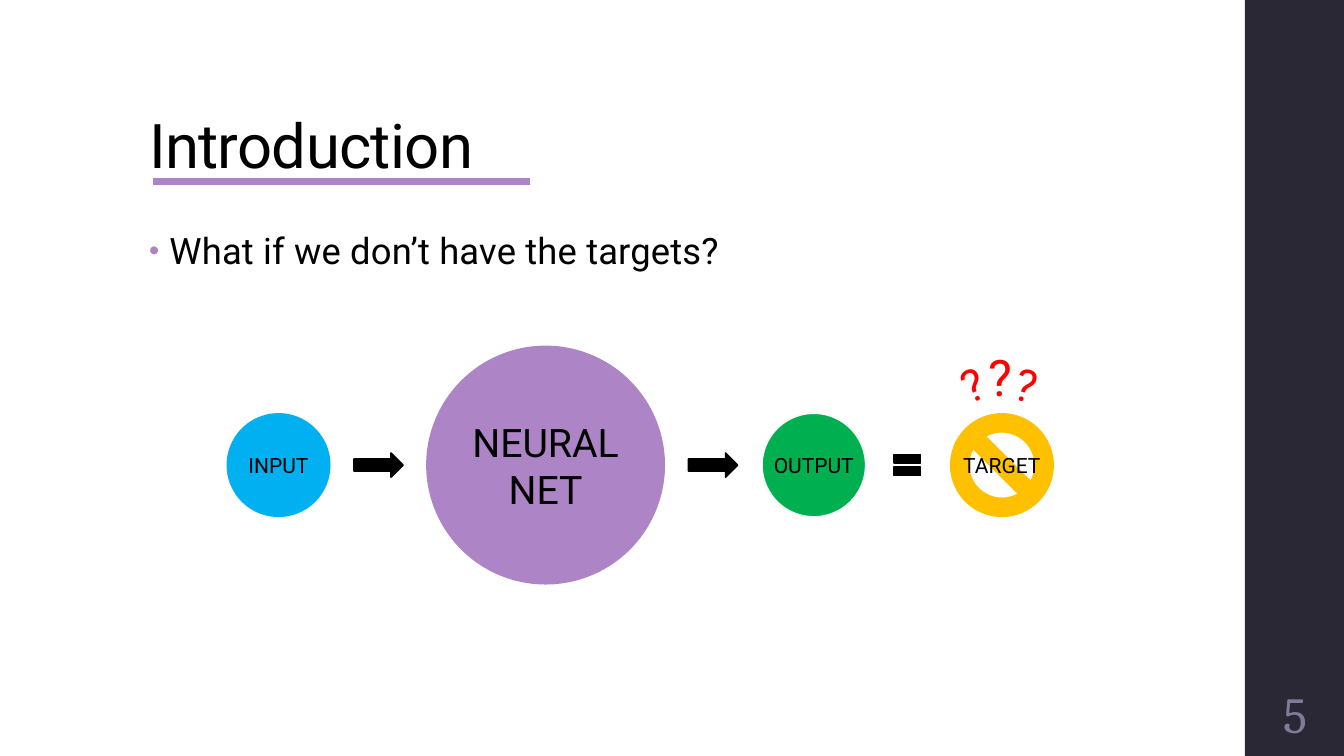
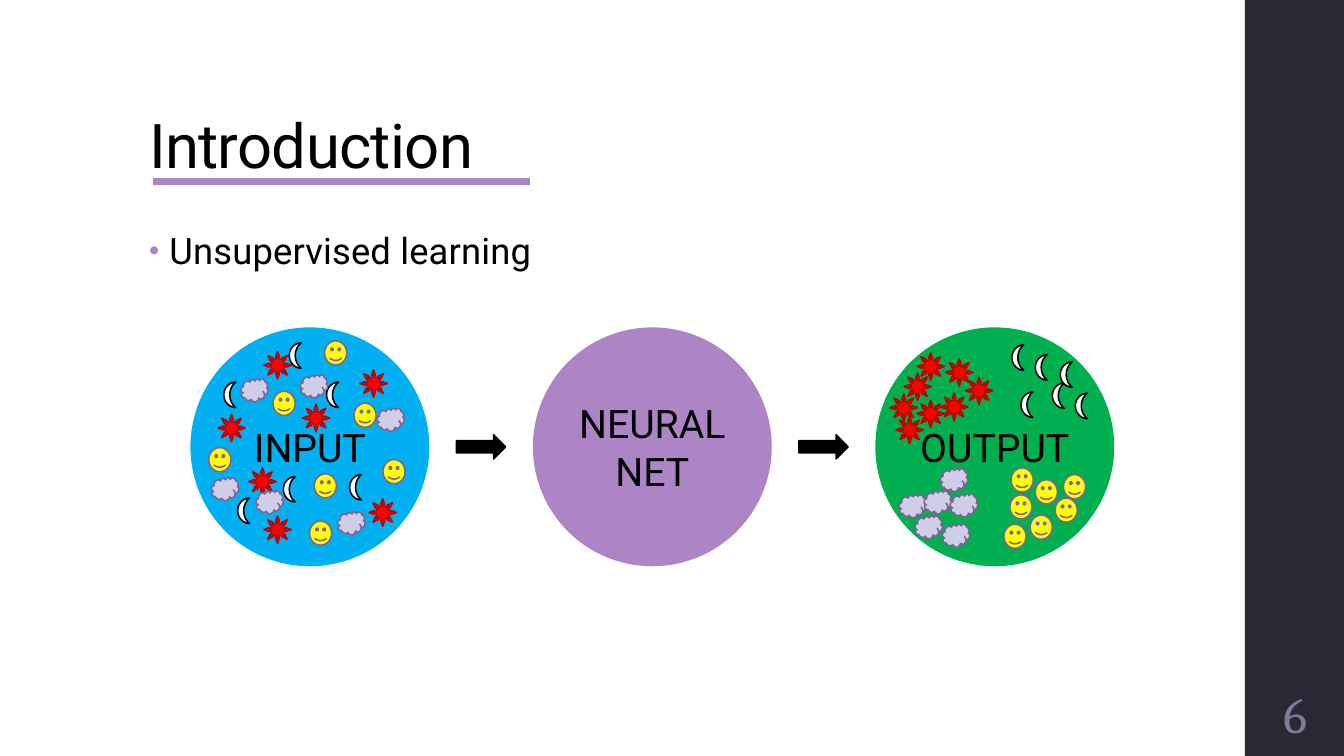
from dataclasses import dataclass

from lxml.etree import SubElement
from pptx import Presentation
from pptx.dml.color import RGBColor
from pptx.enum.shapes import MSO_CONNECTOR, MSO_SHAPE
from pptx.enum.text import MSO_ANCHOR, PP_ALIGN
from pptx.oxml.ns import qn
from pptx.util import Cm, Pt


@dataclass(frozen=True)
class Theme:
    # Fonts
    text_font: str = "Roboto"
    number_font: str = "Cambria"
    # Colours
    white: str = "FFFFFF"
    black: str = "000000"
    sidebar: str = "292834"
    number: str = "7F7B9A"
    accent: str = "AD84C6"
    input: str = "00B0F0"
    output: str = "00B050"
    output_edge: str = "F9F9F9"
    target: str = "FFC000"
    red: str = "FF0000"
    dark_red: str = "C00000"
    yellow: str = "FFFF00"
    lavender: str = "CFCEE9"
    plum: str = "806292"
    # Type sizes and line widths in points
    title_size: int = 44
    body_size: int = 26
    number_size: int = 36
    large_label: int = 28
    small_label: int = 15
    mark_size: int = 32
    large_mark: int = 36
    outline: float = 1.1
    rule: float = 4.5


THEME = Theme()
LARGE, SMALL = 6.02, 2.62

# Icon: preset, width, height, fill, outline
ICONS = {
    "moon": (MSO_SHAPE.MOON, 0.3, 0.64, THEME.white, THEME.black),
    "smiley": (MSO_SHAPE.SMILEY_FACE, 0.56, 0.61, THEME.yellow, THEME.plum),
    "sun": (MSO_SHAPE.SUN, 0.69, 0.69, THEME.red, THEME.dark_red),
    "cloud": (MSO_SHAPE.CLOUD, 0.69, 0.58, THEME.lavender, THEME.plum),
}

# Left and top of every icon in cm: mixed in the input, grouped in the output
MIXED = {
    "moon": [(5.64, 9.63), (8.23, 9.63), (7.14, 12.01), (8.81, 11.96),
             (5.99, 12.55), (7.29, 8.64)],
    "smiley": [(5.26, 11.28), (6.88, 9.86), (8.92, 10.16), (7.92, 11.94),
               (7.8, 13.13), (9.65, 11.58), (8.18, 8.59)],
    "sun": [(6.65, 13), (6.27, 11.79), (5.49, 10.44), (6.65, 8.86),
            (9.07, 9.32), (7.62, 10.19), (9.3, 12.57)],
    "cloud": [(9.5, 10.29), (8.51, 12.9), (6.45, 12.37), (6.07, 9.55),
              (7.57, 9.45), (5.33, 12.04)],
}
CLUSTERED = {
    "moon": [(25.5, 8.69), (26.09, 8.94), (25.73, 9.88), (26.52, 9.65),
             (27.1, 9.91), (26.72, 9.12)],
    "smiley": [(26.59, 12.55), (26.09, 12.09), (26.8, 11.96), (25.96, 12.98),
               (25.45, 12.47), (25.3, 13.21), (25.48, 11.79)],
    "sun": [(22.43, 9.93), (23.11, 10.08), (22.78, 9.4), (23.7, 9.91),
            (22.58, 10.49), (23.11, 8.89), (23.83, 9.04), (24.33, 9.5)],
    "cloud": [(22.66, 12.47), (23.06, 13), (23.7, 11.81), (23.75, 13.21),
              (23.29, 12.37), (23.95, 12.45)],
}


def colour(value):
    return RGBColor.from_string(value)


# Basic elements

def write(shape, text, size, ink=THEME.black, font=THEME.text_font,
          align=PP_ALIGN.CENTER, anchor=MSO_ANCHOR.MIDDLE, spacing=None):
    """Fill a shape with text and return its first paragraph."""
    frame = shape.text_frame
    frame.text = text
    frame.vertical_anchor = anchor
    for para in frame.paragraphs:
        para.alignment = align
        for span in para.runs:
            span.font.name = font
            span.font.size = Pt(size)
            span.font.color.rgb = colour(ink)
            if spacing is not None:
                span._r.get_or_add_rPr().set("spc", str(spacing))
    return frame.paragraphs[0]


def add_box(page, left, top, width, height):
    box = page.shapes.add_textbox(Cm(left), Cm(top), Cm(width), Cm(height))
    box.text_frame.word_wrap = True
    return box


def add_figure(page, preset, left, top, width, height, fill,
               edge=None, edge_width=THEME.outline):
    figure = page.shapes.add_shape(
        preset, Cm(left), Cm(top), Cm(width), Cm(height))
    figure.shadow.inherit = False
    figure.fill.solid()
    figure.fill.fore_color.rgb = colour(fill)
    if edge:
        figure.line.color.rgb = colour(edge)
        figure.line.width = Pt(edge_width)
    else:
        figure.line.fill.background()
    return figure


def add_bullet(para):
    properties = para._p.get_or_add_pPr()
    properties.set("marL", str(Cm(0.51)))
    properties.set("indent", str(Cm(-0.51)))
    tint = SubElement(properties, qn("a:buClr"))
    SubElement(tint, qn("a:srgbClr")).set("val", THEME.accent)
    SubElement(properties, qn("a:buSzPct")).set("val", "80000")
    SubElement(properties, qn("a:buFont")).set("typeface", "Arial")
    SubElement(properties, qn("a:buChar")).set("char", "\u2022")


# Shared page frame

def add_page(deck, title, point, number):
    page = deck.slides.add_slide(deck.slide_layouts[6])
    add_figure(page, MSO_SHAPE.RECTANGLE, 31.37, 0, 2.54, 19.05, THEME.sidebar)

    title_box = add_box(page, 3.51, 1.02, 26.92, 3.68)
    heading = write(title_box, title, THEME.title_size, align=PP_ALIGN.LEFT,
                    anchor=MSO_ANCHOR.BOTTOM, spacing=-50)
    heading.line_spacing = 0.9

    body_box = add_box(page, 3.51, 5.08, 23.88, 12.09)
    para = write(body_box, point, THEME.body_size, align=PP_ALIGN.LEFT,
                 anchor=MSO_ANCHOR.TOP, spacing=10)
    para.line_spacing = 1.5
    para.space_before = Pt(14)
    para.space_after = Pt(2)
    add_bullet(para)

    rule = page.shapes.add_connector(
        MSO_CONNECTOR.STRAIGHT, Cm(3.86), Cm(4.57), Cm(13.36), Cm(4.57))
    rule.line.color.rgb = colour(THEME.accent)
    rule.line.width = Pt(THEME.rule)
    SubElement(rule._element.spPr, qn("a:effectLst"))

    number_box = add_box(page, 31.37, 17.15, 2.54, 1.65)
    write(number_box, number, THEME.number_size, THEME.number,
          THEME.number_font)
    return page


# Diagram elements, placed by their centres

def add_node(page, x, y, diameter, label, fill, preset=MSO_SHAPE.OVAL,
             edge=None):
    node = add_figure(page, preset, x - diameter / 2, y - diameter / 2,
                      diameter, diameter, fill, edge, 1.35)
    size = THEME.large_label if diameter == LARGE else THEME.small_label
    write(node, label, size)
    frame = node.text_frame
    frame.word_wrap = False
    frame.margin_left = frame.margin_right = 0
    frame.margin_top = frame.margin_bottom = 0


def add_sign(page, x, y, preset=MSO_SHAPE.RIGHT_ARROW, width=1.24, height=0.61):
    add_figure(page, preset, x - width / 2, y - height / 2, width, height,
               THEME.black, THEME.black)


def add_question_mark(page, x, y, size, angle):
    width, height = 1.4, 1.7
    mark = add_box(page, x - width / 2, y - height / 2, width, height)
    mark.rotation = angle
    write(mark, "?", size, THEME.red)


def add_icons(page, places):
    for name, (preset, width, height, fill, edge) in ICONS.items():
        for left, top in places[name]:
            add_figure(page, preset, left, top, width, height, fill, edge)


# Pages

def build_missing_target(deck):
    page = add_page(deck, "Introduction",
                    "What if we don\u2019t have the targets?", "5")
    middle = 11.72
    for x in (9.54, 17.97):
        add_sign(page, x, middle)
    add_sign(page, 22.86, middle, MSO_SHAPE.MATH_EQUAL, 0.91, 0.91)
    add_node(page, 7.02, middle, SMALL, "INPUT", THEME.input)
    add_node(page, 13.75, middle, LARGE, "NEURAL\nNET", THEME.accent)
    add_node(page, 20.51, middle, SMALL, "OUTPUT", THEME.output,
             edge=THEME.output_edge)
    add_node(page, 25.25, middle, SMALL, "TARGET", THEME.target,
             MSO_SHAPE.NO_SYMBOL)
    for x, y, size, angle in ((24.52, 9.68, THEME.mark_size, 337.7),
                              (25.21, 9.49, THEME.large_mark, 0),
                              (25.87, 9.68, THEME.mark_size, 15.9)):
        add_question_mark(page, x, y, size, angle)


def build_unsupervised(deck):
    page = add_page(deck, "Introduction", "Unsupervised learning", "6")
    middle, start, pitch = 11.26, 7.81, 8.63
    nodes = (("INPUT", THEME.input), ("NEURAL\nNET", THEME.accent),
             ("OUTPUT", THEME.output))
    for index, (label, fill) in enumerate(nodes):
        x = start + index * pitch
        add_node(page, x, middle, LARGE, label, fill)
        if index:
            add_sign(page, x - pitch / 2, middle)
    for places in (MIXED, CLUSTERED):
        add_icons(page, places)


def main():
    deck = Presentation()
    deck.slide_width, deck.slide_height = Cm(33.87), Cm(19.05)
    build_missing_target(deck)
    build_unsupervised(deck)
    deck.save("out.pptx")


main()
